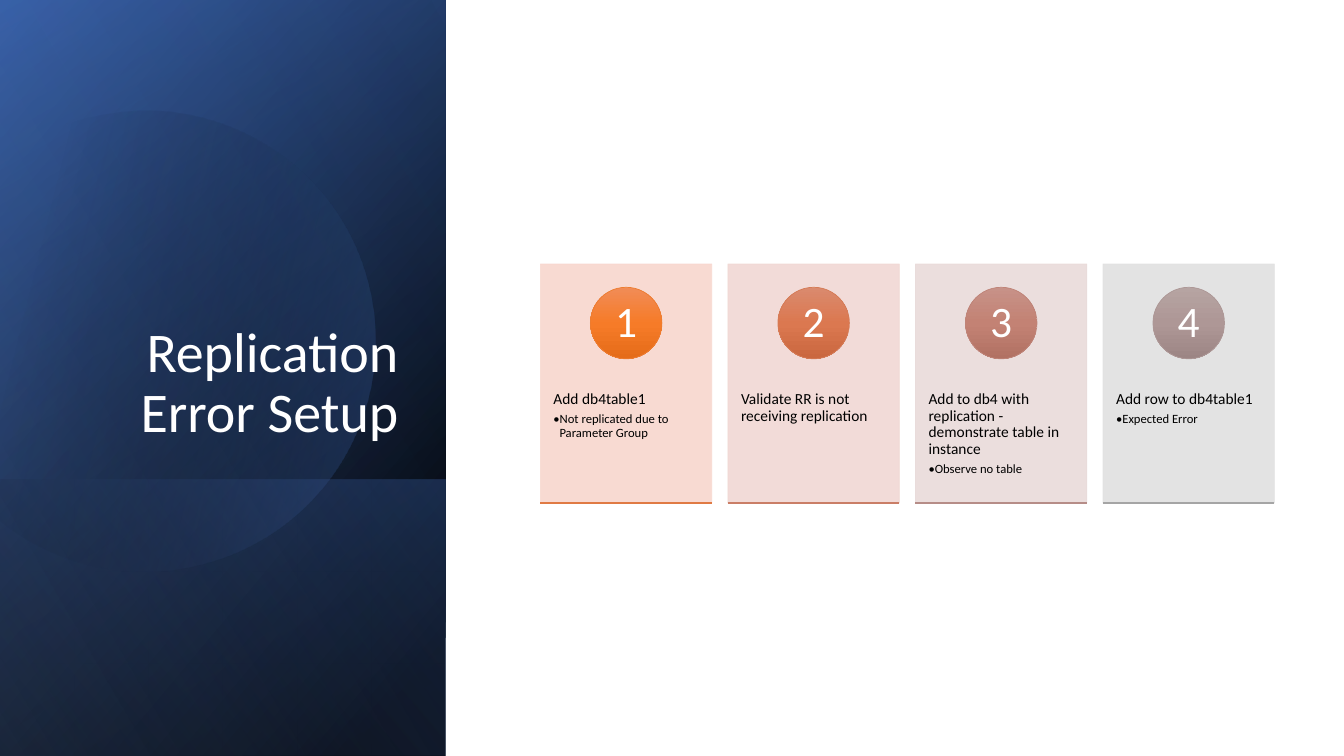
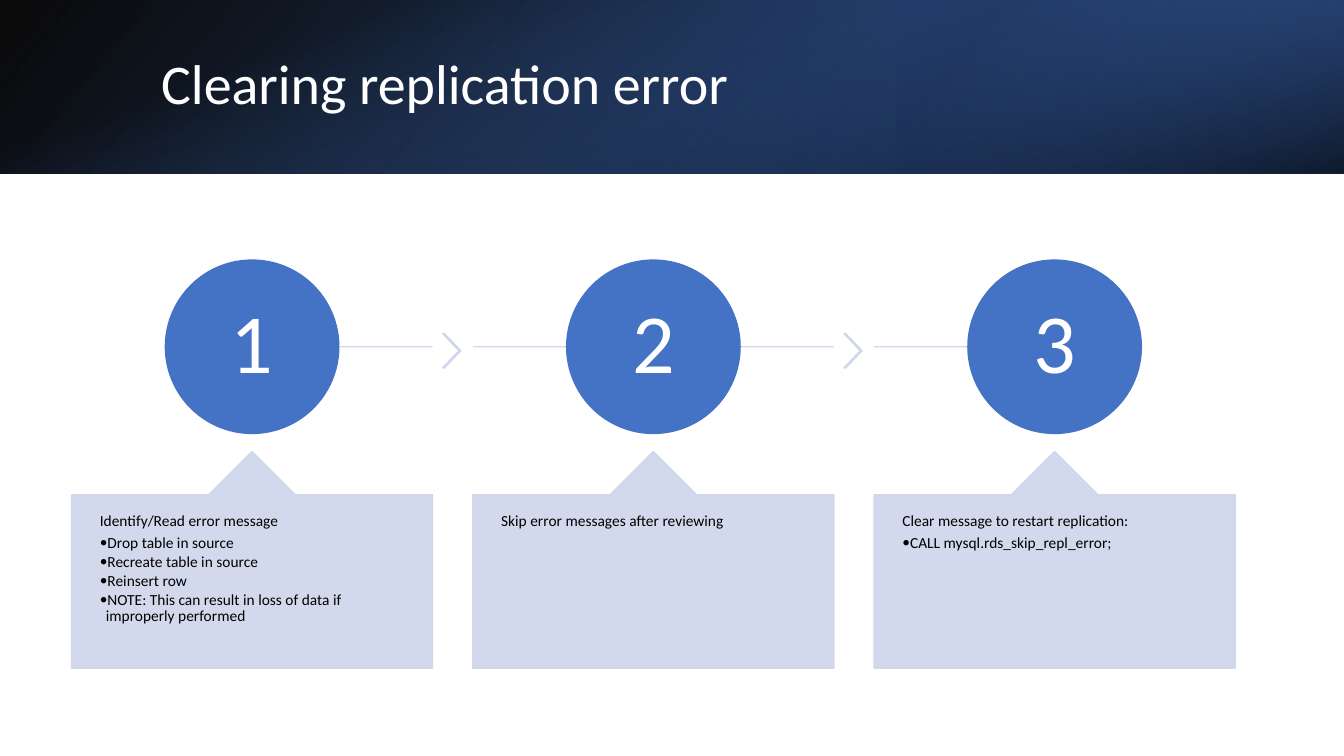
import collections
import math

import pptx
import pptx.dml.color
import pptx.enum.shapes
import pptx.enum.text
import pptx.oxml
import pptx.oxml.ns
import pptx.util

Inches = pptx.util.Inches
Pt = pptx.util.Pt
SHAPE = pptx.enum.shapes.MSO_SHAPE
ALIGN = pptx.enum.text.PP_ALIGN
ANCHOR = pptx.enum.text.MSO_ANCHOR
qn = pptx.oxml.ns.qn
Box = collections.namedtuple("Box", "left top width height")

FONT = "Calibri"
WHITE, BLACK = "FFFFFF", "000000"
BLUE, NAVY, PALE = "4472C4", "2F5597", "CFD5EA"
SLIDE = Box(0, 0, 13.33, 7.5)

Card = collections.namedtuple("Card", "heading bullets tint disc edge rule")
CARDS = [
    Card("Add db4table1", ["Not replicated due to Parameter Group"], "F8D7CE",
         ("F18C57", "F67B28", "E56C19"), "ED7D31", "E07A44"),
    Card("Validate RR is not receiving replication", [], "F1D8D4",
         ("DA8A6E", "DB7850", "CA673F"), "D57B56", "CA7E67"),
    Card("Add to db4 with replication - demonstrate table in instance",
         ["Observe no table"], "E9DBDA",
         ("C79288", "C38274", "B17163"), "BF8478", "B68D88"),
    Card("Add row to db4table1", ["Expected Error"], "E1E1E1",
         ("B6A4A2", "AE9796", "9C8584"), "AD9897", "A5A5A5"),
]
STEPS = [
    ("Identify/Read error message",
     ["Drop table in source", "Recreate table in source", "Reinsert row",
      "NOTE: This can result in loss of data if improperly performed"]),
    ("Skip error messages after reviewing", []),
    ("Clear message to restart replication:",
     ["CALL mysql.rds_skip_repl_error;"]),
]
DISC_START = (1.49, 1.1)
DISC_SEGMENTS = [
    [(2.46, 1.12), (3.35, 1.77), (3.63, 2.75)],
    [(3.98, 3.97), (3.28, 5.23), (2.07, 5.58)],
    [(1.31, 5.8), (0.53, 5.61), (-0.03, 5.14)],
    [(-0.15, 5.03)], [(-0.15, 1.75)], [(0, 1.61)],
    [(0.23, 1.42), (0.5, 1.28), (0.8, 1.19)],
    [(1.03, 1.13), (1.26, 1.1), DISC_START],
]


def rgb(value):
    """Turn a hex string into a colour."""
    return pptx.dml.color.RGBColor.from_string(value)


def inches(box):
    """Convert a box to slide lengths."""
    return [Inches(length) for length in box]


def add_child(parent, tag, **attributes):
    """Append an XML element with attributes and return it."""
    child = pptx.oxml.parse_xml(f"<{tag} {pptx.oxml.ns.nsdecls('a')}/>")
    for key, value in attributes.items():
        child.set(key, str(value))
    parent.append(child)
    return child


def set_solid(fill, properties, color, alpha=100):
    """Give a fill one colour with an opacity in percent."""
    fill.solid()
    fill.fore_color.rgb = rgb(color)
    if alpha < 100:
        tone = properties.find(qn("a:solidFill")).find(qn("a:srgbClr"))
        add_child(tone, "a:alpha", val=alpha * 1000)


def set_gradient(shape, stops, angle):
    """Fill a shape with (position, colour, opacity) stops."""
    shape.fill.gradient()
    gradient = shape._element.spPr.find(qn("a:gradFill"))
    stop_list = gradient.find(qn("a:gsLst"))
    for old in list(stop_list):
        stop_list.remove(old)
    for position, color, alpha in stops:
        stop = add_child(stop_list, "a:gs", pos=position * 1000)
        tone = add_child(stop, "a:srgbClr", val=color)
        if alpha < 100:
            add_child(tone, "a:alpha", val=alpha * 1000)
    gradient.find(qn("a:lin")).set("ang", str(angle * 60000))


def set_line(shape, color, width, alpha=100):
    """Outline a shape or colour a connector."""
    shape.line.width = Pt(width)
    set_solid(shape.line.fill, shape._element.spPr.find(qn("a:ln")), color, alpha)


def add_preset(slide, kind, box, color=None, line=None, line_width=1, alpha=100):
    """Add a shadowless preset shape."""
    shape = slide.shapes.add_shape(kind, *inches(box))
    shape.shadow.inherit = False
    shape.fill.background()
    shape.line.fill.background()
    if color:
        set_solid(shape.fill, shape._element.spPr, color, alpha)
    if line:
        set_line(shape, line, line_width, alpha)
    return shape


def add_rule(slide, start, end, y, color, width, alpha=100):
    """Add a horizontal line."""
    rule = slide.shapes.add_connector(
        pptx.enum.shapes.MSO_CONNECTOR.STRAIGHT, *inches((start, y, end, y)))
    set_line(rule, color, width, alpha)
    add_child(rule._element.spPr, "a:effectLst")


def write_text(shape, text, bullets=(), size=11, bullet_size=11, color=BLACK,
               align=ALIGN.LEFT, anchor=ANCHOR.TOP, insets=(0.1, 0.05)):
    """Write a paragraph and its bullets into a shape."""
    frame = shape.text_frame
    frame.word_wrap = True
    frame.auto_size = pptx.enum.text.MSO_AUTO_SIZE.NONE
    frame.vertical_anchor = anchor
    frame.margin_left = frame.margin_right = Inches(insets[0])
    frame.margin_top = frame.margin_bottom = Inches(insets[1])
    for index, content in enumerate([text, *bullets]):
        paragraph = frame.add_paragraph() if index else frame.paragraphs[0]
        paragraph.alignment = align
        paragraph.line_spacing = 0.9
        if index:
            properties = paragraph._p.get_or_add_pPr()
            properties.set("marL", str(Inches(0.06)))
            properties.set("indent", str(-Inches(0.06)))
            add_child(properties, "a:buFont", typeface=FONT)
            add_child(properties, "a:buChar", char="•")
            paragraph.space_after = Pt(0.15 * bullet_size)
        elif bullets:
            paragraph.space_after = Pt(0.35 * size)
        run = paragraph.add_run()
        run.text = content
        run.font.name = FONT
        run.font.size = Pt(bullet_size if index else size)
        run.font.color.rgb = rgb(color)


def add_text(slide, box, text, **style):
    """Add text in an unfilled box."""
    write_text(add_preset(slide, SHAPE.RECTANGLE, box), text, **style)


def add_title(slide, box, text, **style):
    """Add a slide title."""
    add_text(slide, box, text, size=40, color=WHITE, **style)


def add_number(disc, number, size):
    """Centre a step number in its disc."""
    write_text(disc, str(number), size=size, color=WHITE, align=ALIGN.CENTER,
               anchor=ANCHOR.MIDDLE, insets=(0, 0))


def add_glow(slide, box, stops, angle, rotation=0, flip=True):
    """Cover the box with a gradient that turns with its rectangle."""
    left, top, width, height = box
    if rotation == 90:
        left, top = left + (width - height) / 2, top + (height - width) / 2
        width, height = height, width
    glow = add_preset(slide, SHAPE.RECTANGLE, Box(left, top, width, height))
    glow.rotation = rotation
    if flip:
        glow._element.spPr.find(qn("a:xfrm")).set("flipH", "1")
    set_gradient(glow, stops, angle)


def add_clipped_disc(slide, box):
    """Draw the large tilted disc that the left edge of the panel cuts off."""
    tilt, center_x, center_y = math.radians(16.1), 1.585, 3.345

    def place(point):
        """Turn a point about the disc centre."""
        x, y = point[0] - center_x, point[1] - center_y
        return (Inches(box.left + center_x + x * math.cos(tilt) - y * math.sin(tilt)),
                Inches(box.top + center_y + x * math.sin(tilt) + y * math.cos(tilt)))

    builder = slide.shapes.build_freeform(*place(DISC_START))
    builder.add_line_segments(
        [place(point) for segment in DISC_SEGMENTS for point in segment], close=True)
    disc = builder.convert_to_shape()
    lines = iter(list(disc._element.iter(qn("a:lnTo"))))
    for segment in DISC_SEGMENTS:
        parts = [next(lines) for _ in segment]
        if len(parts) == 3:
            outline = parts[0].getparent()
            curve = add_child(outline, "a:cubicBezTo")
            outline.replace(parts[0], curve)
            for part in parts:
                curve.append(part[0])
            for part in parts[1:]:
                outline.remove(part)
    disc.rotation = 343.9
    disc.shadow.inherit = False
    disc.line.fill.background()
    set_gradient(disc, [(29, BLACK, 0), (100, BLUE, 43)], 30)


def add_side_panel(slide, box, title):
    """Build the dark side panel and its title."""
    foot = Box(box.left, box.top + box.height - 2.74, box.width, 2.74)
    add_glow(slide, box, [(8, BLACK, 100), (100, NAVY, 100)], 50, 90)
    add_glow(slide, box, [(0, BLACK, 0), (99, BLUE, 46)], 30, 90)
    add_glow(slide, foot, [(2, BLUE, 29), (100, BLACK, 30)], 130, 90)
    add_clipped_disc(slide, box)
    add_glow(slide, box, [(0, BLACK, 0), (99, "8FAADC", 11)], 120, 90)
    add_title(slide, Box(box.left + 0.64, box.top + 1.84, 3.41, 2.62), title,
              align=ALIGN.RIGHT, anchor=ANCHOR.BOTTOM)


def add_card(slide, box, number, card):
    """Build one numbered card."""
    add_preset(slide, SHAPE.RECTANGLE, box, card.tint, card.tint, 0.5, 90)
    add_text(slide, Box(box.left, box.top + 0.9, box.width, 1.42), card.heading,
             bullets=card.bullets, bullet_size=9, insets=(0.13, 0.36))
    size = 0.71
    disc = add_preset(slide, SHAPE.OVAL,
                      Box(box.left + (box.width - size) / 2, box.top + 0.23, size, size),
                      line=card.edge, line_width=0.5)
    set_gradient(disc, [(position, color, 100)
                        for position, color in zip((0, 50, 100), card.disc)], 90)
    add_number(disc, number, 31)
    add_rule(slide, box.left, box.left + box.width, box.top + box.height, card.rule, 1)


def add_header(slide, box, title):
    """Build the dark header band and its title."""
    third = box.width / 3
    corner = Box(box.left + 2 * third, box.top, third, box.height)
    add_glow(slide, box, [(0, BLACK, 96), (100, NAVY, 100)], 140)
    add_glow(slide, corner, [(19, "203864", 68), (100, BLUE, 79)], 320, 180)
    add_glow(slide, box, [(23, BLUE, 0), (99, BLACK, 74)], 340, 90, flip=False)
    add_title(slide, Box(box.left + 1.5, box.top + 0.38, 10.98, 0.96), title,
              anchor=ANCHOR.MIDDLE)


def add_step(slide, box, number, heading, bullets, first, last):
    """Build one step: line, chevron, numbered disc and callout."""
    middle, right = box.left + box.width / 2, box.left + box.width
    size = 1.72
    add_rule(slide, middle if first else box.left, middle if last else right,
             box.top + size / 2, PALE, 1, 90)
    if not last:
        chevron = add_preset(slide, SHAPE.CHEVRON,
                             Box(right + 0.1, box.top + 0.73, 0.18, 0.34),
                             PALE, PALE, alpha=90)
        chevron.adjustments[0] = 0.9
    disc = add_preset(slide, SHAPE.OVAL, Box(middle - size / 2, box.top, size, size),
                      BLUE, BLUE)
    add_number(disc, number, 60)
    callout = add_preset(slide, SHAPE.UP_ARROW_CALLOUT,
                         Box(box.left, box.top + 1.9, box.width, 2.15),
                         PALE, PALE, alpha=90)
    for index, value in enumerate((0.5, 0.2, 0.2, 1)):
        callout.adjustments[index] = value
    add_text(slide, Box(box.left, box.top + 2.33, box.width, 1.72), heading,
             bullets=bullets, insets=(0.28, 0.18))


def main():
    """Build both slides and save the presentation."""
    deck = pptx.Presentation()
    deck.slide_width, deck.slide_height = Inches(SLIDE.width), Inches(SLIDE.height)
    setup, clearing = [deck.slides.add_slide(deck.slide_layouts[6]) for _ in range(2)]
    add_side_panel(setup, Box(0, 0, 4.42, SLIDE.height), "Replication Error Setup")
    for index, card in enumerate(CARDS):
        add_card(setup, Box(5.36 + 1.86 * index, 2.62, 1.7, 2.37), index + 1, card)
    add_header(clearing, Box(0, 0, SLIDE.width, 1.72), "Clearing replication error")
    for index, (heading, bullets) in enumerate(STEPS):
        add_step(clearing, Box(0.71 + 3.98 * index, 2.58, 3.58, 4.05), index + 1,
                 heading, bullets, index == 0, index == len(STEPS) - 1)
    deck.save("out.pptx")


if __name__ == "__main__":
    main()
